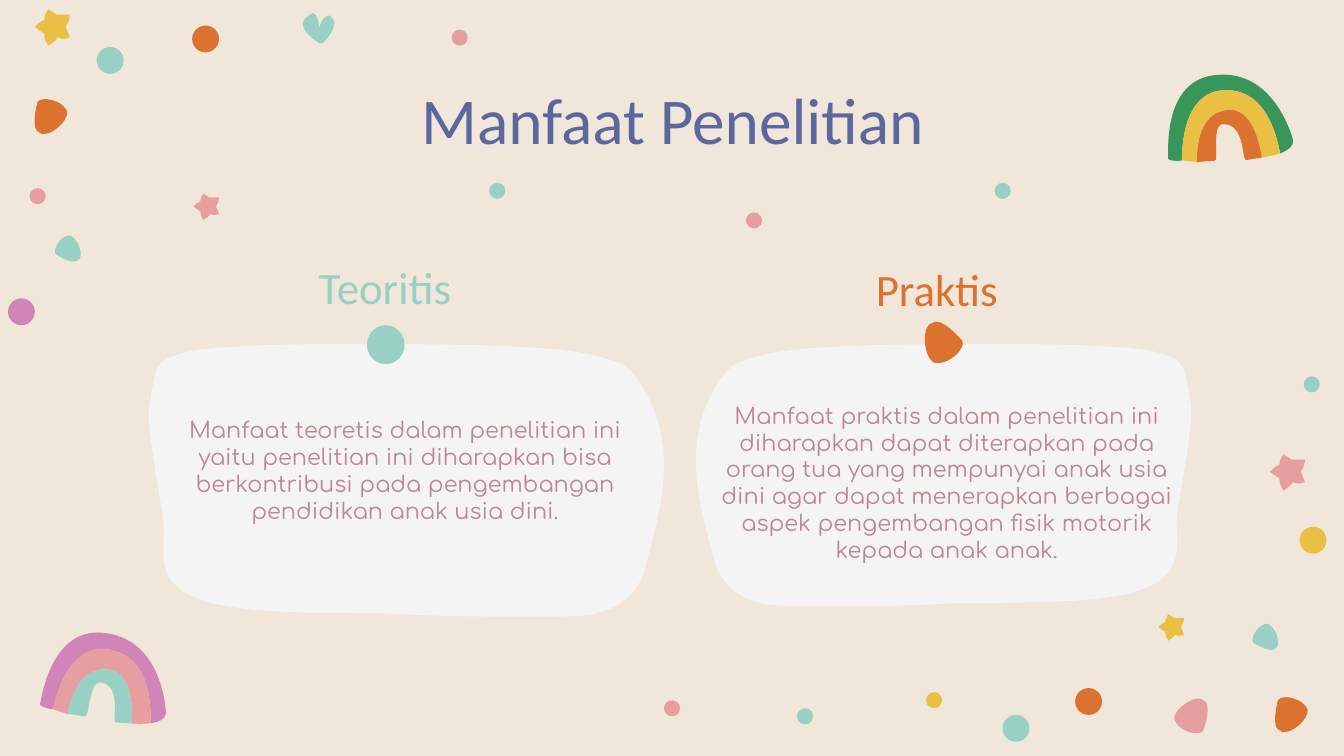
from pptx import Presentation
from pptx.dml.color import RGBColor
from pptx.enum.shapes import MSO_SHAPE
from pptx.enum.text import MSO_ANCHOR, PP_ALIGN
from pptx.oxml.ns import qn
from pptx.oxml.xmlchemy import OxmlElement
from pptx.util import Inches, Pt

COLORS = {
    "cream": "F0E6DA", "card": "F4F4F4", "indigo": "5C679E", "rose": "BE8890",
    "teal": "98D0C3", "orange": "DB722F", "pink": "E69EA1", "yellow": "EAC044",
    "purple": "D184B7", "green": "38965D",
}

# Outlines in hundredths of an inch: a start point, then three points per curve.
PEBBLE = [(11, 0), (7, 0), (4, 1), (4, 5), (4, 5), (0, 24), (7, 25),
          (7, 26), (9, 26), (10, 26), (18, 26), (32, 11), (25, 6),
          (22, 2), (15, 0), (11, 0)]
STAR = [(10, 0), (8, 3), (7, 5), (7, 8), (4, 9), (2, 11), (0, 13),
        (2, 15), (4, 16), (7, 18), (7, 21), (8, 24), (10, 27),
        (13, 25), (15, 24), (17, 21), (19, 21), (20, 22), (21, 22),
        (23, 22), (24, 21), (26, 21), (25, 18), (24, 16), (23, 13),
        (25, 10), (26, 7), (26, 4), (25, 4), (24, 4), (23, 4),
        (21, 4), (18, 4), (16, 4), (14, 3), (12, 1), (10, 0)]
HEART = [(23, 0), (16, 1), (18, 12), (18, 12), (18, 12), (15, 3), (10, 2),
         (9, 3), (8, 4), (6, 7), (0, 17), (21, 22), (21, 22),
         (21, 22), (22, 22), (22, 22), (25, 22), (32, 3), (24, 1),
         (24, 1), (23, 0), (23, 0)]
CARD = [(244, 0), (278, 0), (328, 1), (350, 5), (377, 11), (375, 15), (380, 44),
        (383, 54), (373, 105), (370, 126), (367, 145), (381, 171), (340, 184),
        (309, 194), (245, 192), (202, 193), (172, 195), (142, 195), (112, 195),
        (106, 195), (100, 195), (93, 195), (82, 195), (70, 195), (61, 193),
        (55, 191), (51, 190), (47, 188), (35, 181), (30, 173), (27, 166),
        (13, 116), (0, 71), (30, 26), (33, 22), (36, 18), (43, 14),
        (50, 11), (61, 8), (72, 6), (108, 0), (187, 0), (227, 0),
        (232, 0), (238, 0), (244, 0)]
MIRRORED_CARD = [(383 - x, y) for x, y in CARD]
OUTER_BAND = [(42, 0), (89, 0), (94, 57), (94, 57), (94, 61), (89, 64), (83, 65),
              (82, 37), (73, 12), (44, 12), (20, 13), (12, 45), (10, 59),
              (4, 59), (0, 57), (0, 56), (1, 53), (4, 0), (42, 0)]
MIDDLE_BAND = [(44, 12), (73, 12), (82, 37), (83, 65), (78, 66), (73, 66), (69, 66),
               (69, 56), (68, 27), (48, 27), (28, 27), (22, 51), (21, 62),
               (18, 61), (13, 60), (10, 59), (12, 45), (20, 13), (44, 12)]
INNER_BAND = [(48, 27), (68, 27), (69, 56), (69, 66), (68, 66), (67, 66), (67, 66),
              (62, 66), (58, 66), (57, 66), (54, 66), (61, 37), (43, 37),
              (36, 38), (37, 64), (34, 63), (32, 63), (27, 62), (21, 62),
              (22, 51), (28, 27), (48, 27)]

# Outline, left, top, size factor, rotation, colour
CHARMS = [
    (PEBBLE, 0.4, 1.74, 0.75, 288, "teal"),
    (PEBBLE, 0.23, 0.74, 1, 2.3, "orange"),
    (STAR, 0.26, 0.07, 1, 0, "yellow"),
    (HEART, 2.2, 0.09, 1, 17.8, "teal"),
    (PEBBLE, 9.31, 4.63, 0.75, 288, "teal"),
    (PEBBLE, 9.46, 5.19, 1, 2.3, "orange"),
    (STAR, 9.45, 3.38, 1, 0, "pink"),
    (PEBBLE, 8.69, 5.19, 1, 187, "pink"),
    (STAR, 8.62, 4.57, 0.73, 0, "yellow"),
    (STAR, 1.44, 1.44, 0.73, 0, "pink"),
]
# Diameter: left, top, colour
DOTS = {
    0.2: [(0.06, 2.22, "purple"), (1.43, 0.19, "orange"), (0.72, 0.35, "teal"),
          (9.67, 3.92, "yellow"), (8, 5.12, "orange"), (7.46, 5.32, "teal")],
    0.12: [(0.22, 1.4, "pink"), (3.36, 0.22, "pink"), (6.89, 5.15, "yellow"),
           (9.7, 2.8, "teal"), (5.55, 1.58, "pink"), (5.93, 5.27, "teal"),
           (3.64, 1.36, "teal"), (7.4, 1.36, "teal"), (4.94, 5.21, "pink")],
}


def paint(shape, color):
    shape.fill.solid()
    shape.fill.fore_color.rgb = RGBColor.from_string(COLORS[color])
    shape.line.fill.background()
    shape.shadow.inherit = False


def add_outline(page, points, left, top, size, turn, color):
    """Draw a closed curve whose points come in threes after the start."""
    builder = page.shapes.build_freeform(*points[0], scale=Inches(0.01) * size)
    builder.add_line_segments(points[1:], close=True)
    shape = builder.convert_to_shape(Inches(left), Inches(top))
    for outline in shape.element.iter(qn("a:path")):
        lines = outline.findall(qn("a:lnTo"))
        for first in range(0, len(lines), 3):
            curve = OxmlElement("a:cubicBezTo")
            lines[first].addprevious(curve)
            for line in lines[first:first + 3]:
                curve.append(line[0])
                outline.remove(line)
    shape.rotation = turn
    paint(shape, color)
    return shape


def add_dot(page, left, top, width, height, color):
    box = [Inches(length) for length in (left, top, width, height)]
    paint(page.shapes.add_shape(MSO_SHAPE.OVAL, *box), color)


def add_text(page, box, text, size, font, color, anchor=MSO_ANCHOR.MIDDLE):
    frame = page.shapes.add_textbox(*(Inches(length) for length in box)).text_frame
    frame.word_wrap = True
    frame.vertical_anchor = anchor
    for side in ("left", "top", "right", "bottom"):
        setattr(frame, f"margin_{side}", Inches(0.1))
    para = frame.paragraphs[0]
    para.alignment = PP_ALIGN.CENTER
    span = para.add_run()
    span.text = text
    for name, value in {"size": Pt(size), "name": font}.items():
        setattr(span.font, name, value)
    span.font.color.rgb = RGBColor.from_string(COLORS[color])


def add_rainbow(page, left, top, turn, colors):
    """Draw three bands, outermost first, turned together as a group."""
    bands = [add_outline(page, band, left, top, 1, 0, color)
             for band, color in zip((OUTER_BAND, MIDDLE_BAND, INNER_BAND), colors)]
    page.shapes.add_group_shape(bands).rotation = turn


def add_benefit(page, card, left, top, size, heading, heading_box, color, body, body_box):
    """Draw a card with its heading and text, placed from the card's corner."""
    def inside(box):
        return left + box[0], top + box[1], box[2], box[3]

    add_outline(page, card, left, top, size, 0, "card")
    add_text(page, inside(body_box), body, 12, "Comfortaa", "rose")
    add_text(page, inside(heading_box), heading, 24, "Calibri", color)


def main():
    deck = Presentation()
    deck.slide_width = Inches(10)
    deck.slide_height = deck.slide_width * 9 // 16
    page = deck.slides.add_slide(deck.slide_layouts[6])
    page.background.fill.solid()
    page.background.fill.fore_color.rgb = RGBColor.from_string(COLORS["cream"])

    for charm in CHARMS:
        add_outline(page, *charm)
    for diameter, dots in DOTS.items():
        for left, top, color in dots:
            add_dot(page, left, top, diameter, diameter, color)

    add_text(page, (0.79, 0.49, 8.43, 0.63), "Manfaat Penelitian", 35, "Calibri",
             "indigo", MSO_ANCHOR.TOP)
    add_benefit(page, CARD, 5.06, 2.56, 1, "Praktis", (0.97, -0.74, 1.88, 0.65), "orange",
                "Manfaat praktis dalam penelitian ini diharapkan dapat diterapkan pada "
                "orang tua yang mempunyai anak usia dini agar dapat menerapkan berbagai "
                "aspek pengembangan fisik motorik kepada anak anak.",
                (0.19, 0.36, 3.59, 1.34))
    add_benefit(page, MIRRORED_CARD, 1.08, 2.56, 1.04, "Teoritis",
                (0.93, -0.75, 1.71, 0.65), "teal",
                "Manfaat teoretis dalam penelitian ini yaitu penelitian ini diharapkan "
                "bisa berkontribusi pada pengembangan pendidikan anak usia dini.",
                (0.18, 0.27, 3.51, 1.34))
    add_dot(page, 2.73, 2.42, 0.28, 0.29, "teal")
    add_outline(page, PEBBLE, 6.8, 2.42, 1.15, 126.7, "orange")

    add_rainbow(page, 0.31, 4.71, 3.5, ("purple", "pink", "teal"))
    add_rainbow(page, 8.65, 0.55, 351.1, ("green", "yellow", "orange"))
    deck.save("out.pptx")


if __name__ == "__main__":
    main()
